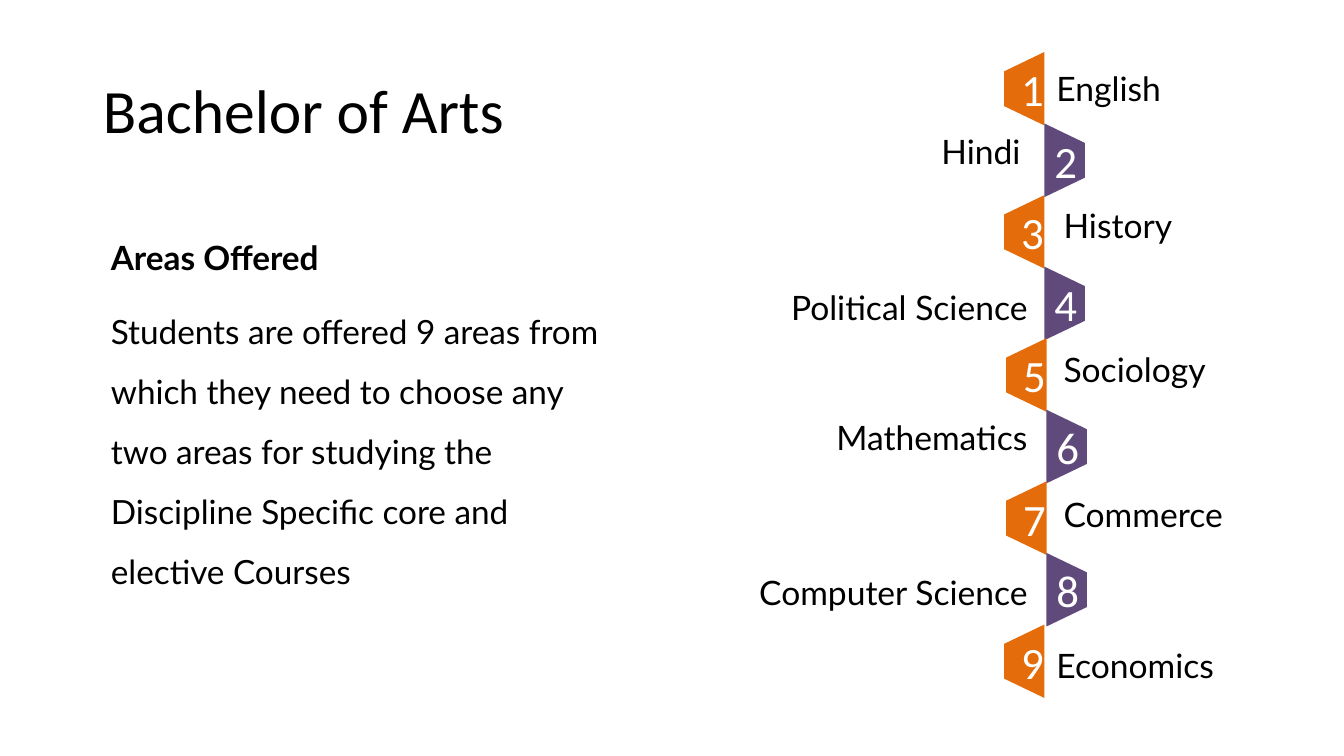
import lxml.etree
import pptx
import pptx.dml.color
import pptx.enum.shapes
import pptx.enum.text
import pptx.oxml.ns
import pptx.util
from pptx.util import Inches

ORANGE = pptx.dml.color.RGBColor(0xE4, 0x6C, 0x0A)
PURPLE = pptx.dml.color.RGBColor(0x60, 0x4A, 0x7B)
BLACK = pptx.dml.color.RGBColor(0, 0, 0)
WHITE = pptx.dml.color.RGBColor(255, 255, 255)
LEFT = pptx.enum.text.PP_ALIGN.LEFT
CENTER = pptx.enum.text.PP_ALIGN.CENTER
RIGHT = pptx.enum.text.PP_ALIGN.RIGHT

TAG_LENGTH, TAG_DEPTH, TAG_PITCH = 0.73, 0.4, 0.71
LEFT_LABEL_WIDTH, RIGHT_LABEL_WIDTH, LABEL_HEIGHT = 3.2, 2.85, 0.5
BODY = [
    ("Areas Offered", True),
    ("Students are offered 9 areas from which they need to choose any two areas "
     "for studying the Discipline Specific core and elective Courses", False),
]
SUBJECTS = [
    ("English", 0, 0.02, 0),
    ("Hindi", 0, 0.14, 0.63),
    ("History", 0, 0.09, 1.36),
    ("Political Science", 0, 0.07, 2.18),
    ("Sociology", 0.02, 0.07, 2.79),
    ("Mathematics", 0.02, 0.09, 3.47),
    ("Commerce", 0.02, 0.07, 4.23),
    ("Computer Science", 0.02, 0.09, 5),
    ("Economics", 0, 0.02, 5.73),
]


def style_paragraph(paragraph, font_name, size, color, alignment, bold=False):
    """Apply the font and alignment to a whole paragraph."""
    paragraph.alignment = alignment
    paragraph.font.name = font_name
    paragraph.font.size = pptx.util.Pt(size)
    paragraph.font.color.rgb = color
    paragraph.font.bold = bold


def place(shape, box):
    """Move a shape to a box of left, top, width and height in inches."""
    shape.left, shape.top, shape.width, shape.height = map(Inches, box)


def fill_title(slide, box):
    """Write the slide title in its placeholder."""
    title = slide.shapes.title
    place(title, box)
    frame = title.text_frame
    frame.text = "Bachelor of Arts"
    frame.auto_size = pptx.enum.text.MSO_AUTO_SIZE.NONE
    frame.vertical_anchor = pptx.enum.text.MSO_ANCHOR.MIDDLE
    frame.paragraphs[0].line_spacing = 0.9
    style_paragraph(frame.paragraphs[0], "Calibri", 44, BLACK, LEFT)


def fill_body(slide, box):
    """Write the description in the body placeholder without bullets."""
    body = slide.placeholders[1]
    place(body, box)
    frame = body.text_frame
    frame.text = "\n".join(text for text, bold in BODY)
    frame.auto_size = pptx.enum.text.MSO_AUTO_SIZE.NONE
    for index, (paragraph, (text, bold)) in enumerate(zip(frame.paragraphs, BODY)):
        paragraph.line_spacing = 1.5
        paragraph.space_before = pptx.util.Pt(10 if index else 0)
        properties = paragraph._p.get_or_add_pPr()
        properties.set("marL", "0")
        properties.set("indent", "0")
        lxml.etree.SubElement(properties, pptx.oxml.ns.qn("a:buNone"))
        style_paragraph(paragraph, "Lato", 23.8, BLACK, LEFT, bold)


def add_tag(slide, number, spine, middle):
    """Add a numbered trapezoid with its base on the spine."""
    is_odd = number % 2 == 1
    center = spine + (-TAG_DEPTH if is_odd else TAG_DEPTH) / 2
    tag = slide.shapes.add_shape(
        pptx.enum.shapes.MSO_SHAPE.TRAPEZOID,
        Inches(center - TAG_LENGTH / 2), Inches(middle - TAG_DEPTH / 2),
        Inches(TAG_LENGTH), Inches(TAG_DEPTH))
    tag.adjustments[0] = 0.481
    tag.rotation = 270 if is_odd else 90
    tag.shadow.inherit = False
    tag.fill.solid()
    tag.fill.fore_color.rgb = ORANGE if is_odd else PURPLE
    tag.line.fill.background()
    if not is_odd:
        tag._element.spPr.xfrm.set("flipH", "1")
    frame = tag.text_frame
    frame.text = str(number)
    frame._txBody.bodyPr.set("vert", "vert" if is_odd else "vert270")
    style_paragraph(frame.paragraphs[0], "Calibri", 32, WHITE, CENTER)


def add_label(slide, text, box, alignment):
    """Add a subject name beside the spine."""
    label = slide.shapes.add_textbox(*map(Inches, box))
    label.text_frame.word_wrap = True
    label.text_frame.text = text
    style_paragraph(label.text_frame.paragraphs[0], "Lato", 24, BLACK, alignment)


def add_subjects(slide, box):
    """Add the zigzag of numbered subjects around the middle of the box."""
    left, top, width, height = box
    first_middle = top + (height - (len(SUBJECTS) - 1) * TAG_PITCH) / 2
    for index, (text, shift, gap, label_top) in enumerate(SUBJECTS):
        spine = left + width / 2 + shift
        add_tag(slide, index + 1, spine, first_middle + index * TAG_PITCH)
        if index % 2 == 0:
            label_left, label_width, alignment = spine + gap, RIGHT_LABEL_WIDTH, LEFT
        else:
            label_left = spine - gap - LEFT_LABEL_WIDTH
            label_width, alignment = LEFT_LABEL_WIDTH, RIGHT
        add_label(slide, text, (label_left, top + label_top, label_width, LABEL_HEIGHT),
                  alignment)


def main():
    """Build and save the presentation."""
    presentation = pptx.Presentation()
    presentation.slide_width = Inches(13.33)
    presentation.slide_height = Inches(7.5)
    slide = presentation.slides.add_slide(presentation.slide_layouts[1])
    fill_title(slide, (0.92, 0.4, 4.8, 1.45))
    fill_body(slide, (1, 2.1, 5.32, 4.25))
    add_subjects(slide, (7.46, 0.62, 5.8, 6.2))
    presentation.save("out.pptx")


if __name__ == "__main__":
    main()
